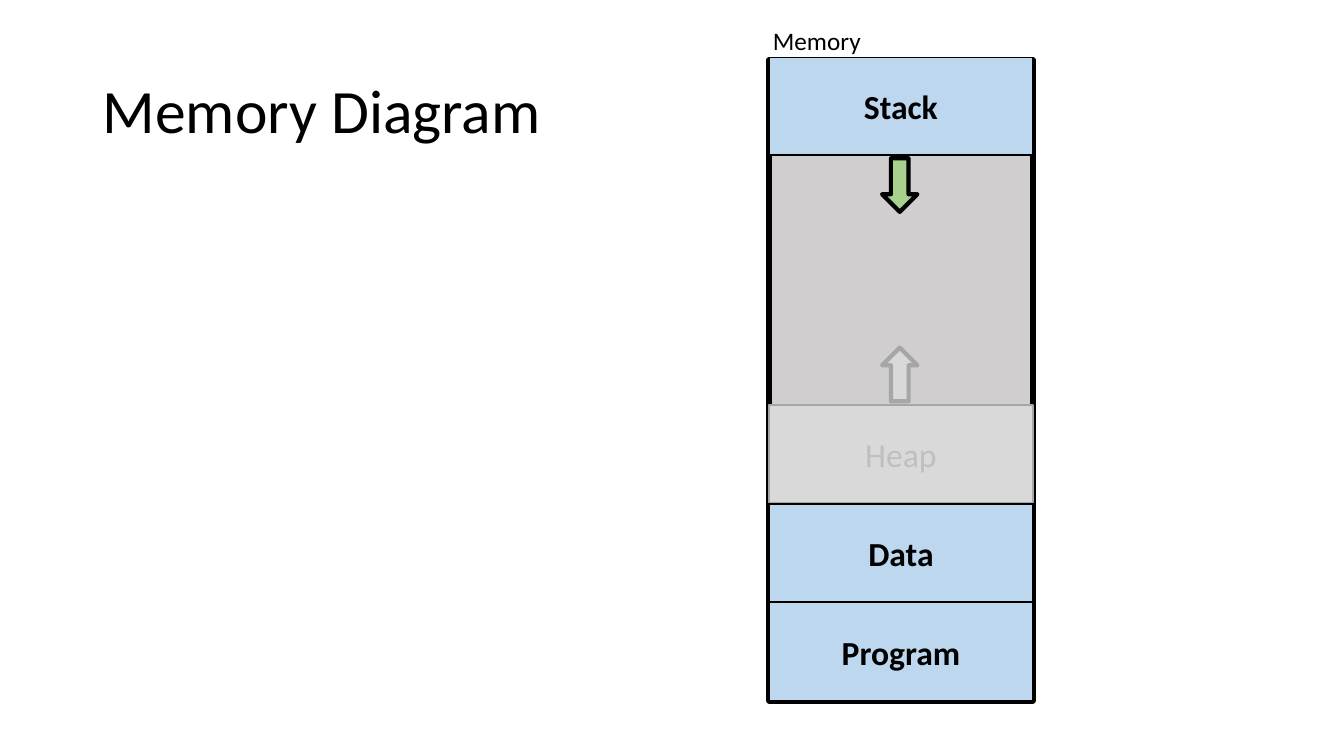
from pptx import Presentation
from pptx.dml.color import RGBColor
from pptx.enum import shapes, text
from pptx.util import Cm, Pt

COLORS = {
    "black": "000000",
    "free": "D0CECE",
    "used": "BDD7EE",
    "faded": "D9D9D9",
    "faded_line": "A6A6A6",
    "faded_text": "BFBFBF",
    "growth": "A9D18E",
}
FONT = "Calibri"
RECT = shapes.MSO_SHAPE.RECTANGLE
ARROW = shapes.MSO_SHAPE.DOWN_ARROW
MEMORY_LEFT, MEMORY_WIDTH = 19.38, 6.65
BLOCK_HEIGHT, BLOCK_PITCH = 2.46, 2.49
STACK_TOP, HEAP_TOP = 1.45, 10.21
ARROW_WIDTH, ARROW_HEIGHT = 0.89, 1.35


def rgb(name):
    return RGBColor.from_string(COLORS[name])


def add_run(p, words, size, color="black", bold=False):
    r = p.add_run()
    r.text = words
    r.font.name = FONT
    r.font.size = Pt(size)
    r.font.bold = bold
    r.font.color.rgb = rgb(color)


def add_label(s, box, words, size, anchor, wrap):
    tf = s.shapes.add_textbox(*map(Cm, box)).text_frame
    tf.word_wrap = wrap
    tf.vertical_anchor = anchor
    p = tf.paragraphs[0]
    add_run(p, words, size)
    return p


def add_figure(s, kind, box, fill, line, width):
    sp = s.shapes.add_shape(kind, *map(Cm, box))
    sp.shadow.inherit = False
    sp.fill.solid()
    sp.fill.fore_color.rgb = rgb(fill)
    sp.line.color.rgb = rgb(line)
    sp.line.width = Pt(width)
    return sp


def add_block(s, top, name, fill="used", line="black", color="black", bold=True):
    box = (MEMORY_LEFT, top, MEMORY_WIDTH, BLOCK_HEIGHT)
    sp = add_figure(s, RECT, box, fill, line, 1)
    tf = sp.text_frame
    tf.vertical_anchor = text.MSO_ANCHOR.MIDDLE
    p = tf.paragraphs[0]
    p.alignment = text.PP_ALIGN.CENTER
    add_run(p, name, 24, color, bold)


def add_growth_arrow(s, top, fill, line, rotation=0):
    box = (22.23, top, ARROW_WIDTH, ARROW_HEIGHT)
    add_figure(s, ARROW, box, fill, line, 3).rotation = rotation


def main():
    prs = Presentation()
    prs.slide_width, prs.slide_height = Cm(33.87), Cm(19.05)
    s = prs.slides.add_slide(prs.slide_layouts[6])

    add_figure(s, RECT, (MEMORY_LEFT, 1.52, MEMORY_WIDTH, 16.13), "free", "black", 4.5)
    add_block(s, STACK_TOP, "Stack")
    add_block(s, HEAP_TOP, "Heap", "faded", "faded_line", "faded_text", False)
    for i, name in enumerate(("Data", "Program"), start=1):
        add_block(s, HEAP_TOP + i * BLOCK_PITCH, name)

    title = add_label(s, (2.34, 1.02, 29.21, 3.68), "Memory Diagram", 44,
                      text.MSO_ANCHOR.MIDDLE, True)
    title.line_spacing = 0.9
    add_growth_arrow(s, 3.99, "growth", "black")
    add_growth_arrow(s, 8.76, "faded", "faded_line", 180)
    add_label(s, (19.23, 0.51, 2.74, 1.02), "Memory", 18, text.MSO_ANCHOR.TOP, False)

    prs.save("out.pptx")


main()
